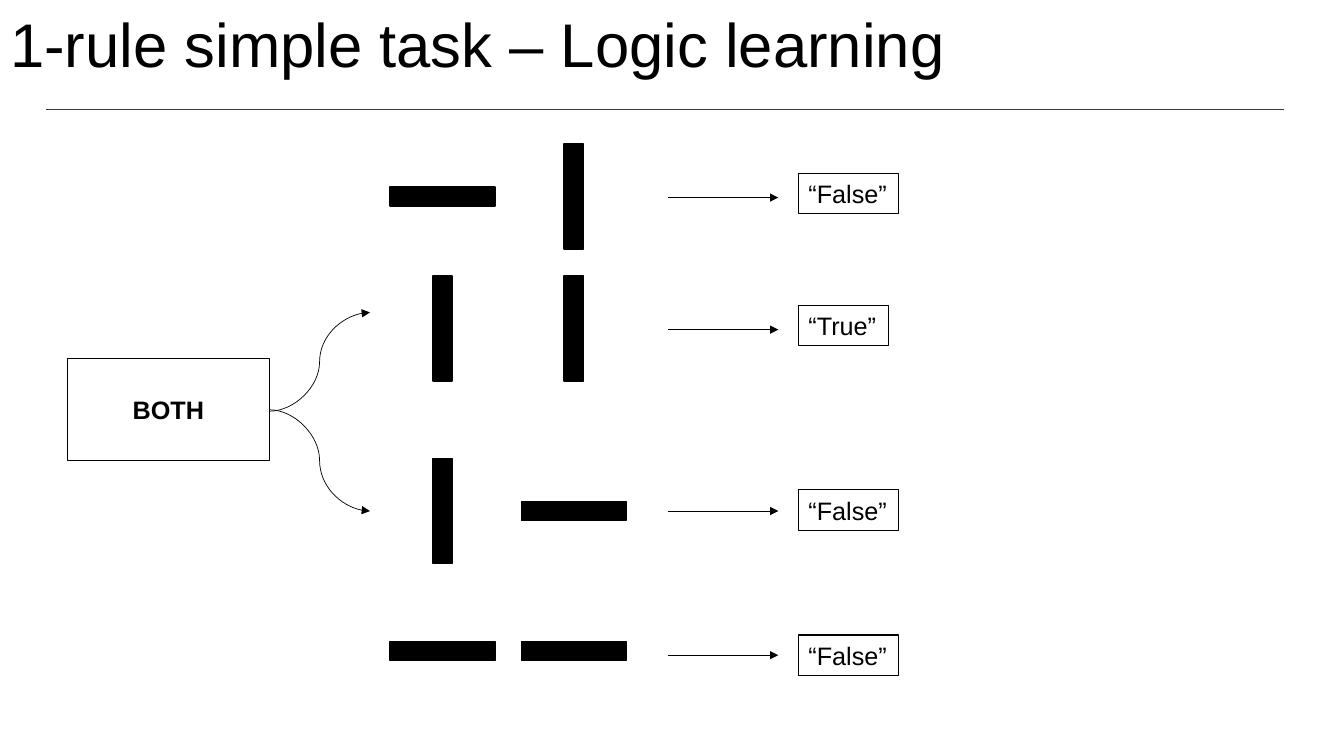
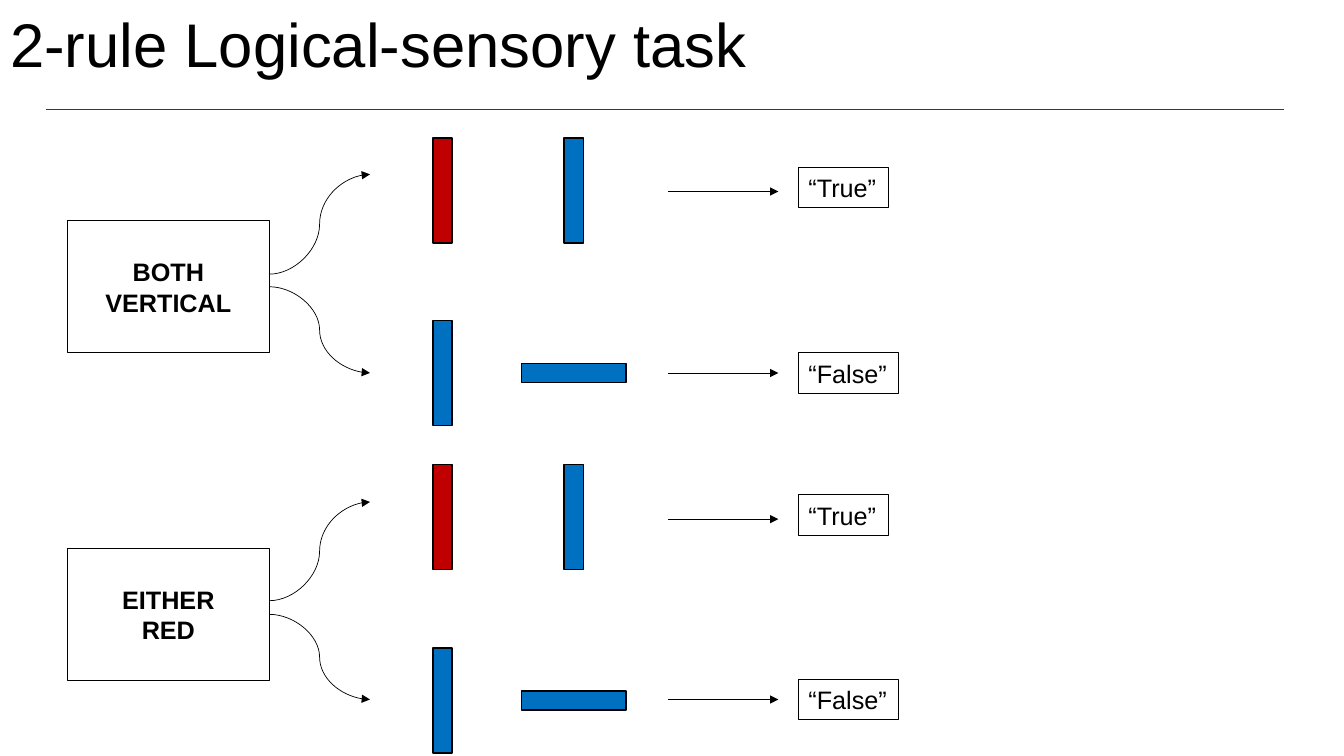
from dataclasses import dataclass

from lxml import etree
from pptx import Presentation
from pptx.dml.color import RGBColor
from pptx.enum import shapes, text
from pptx.oxml.ns import qn
from pptx.util import Inches, Pt


@dataclass(frozen=True)
class Theme:
    font: str = "Arial"
    black: str = "000000"
    red: str = "C00000"
    blue: str = "0070C0"
    divider: str = "3B3838"
    title_size: int = 44
    body_size: int = 18
    thin: float = 0.5
    frame: float = 0.75
    bar_edge: float = 1


T = Theme()

# Bars are (orientation, colour): V is vertical, H is horizontal.
# Rows are (bars, answer, bar centre, arrow height, answer top), in inches.
# Rules are (lines, top, height, start of upper curve, upper row, lower row).
BLACK_V, BLACK_H = ("V", T.black), ("H", T.black)
RED_V, BLUE_V, BLUE_H = ("V", T.red), ("V", T.blue), ("H", T.blue)

SLIDES = [
    {
        "title": "1-rule simple task – Logic learning",
        "rows": [
            ((BLACK_H, BLACK_V), "False", 1.95, 1.96, 1.72),
            ((BLACK_V, BLACK_V), "True", 3.26, 3.27, 3.03),
            ((BLACK_V, BLACK_H), "False", 5.07, 5.07, 4.86),
            ((BLACK_H, BLACK_H), "False", 6.46, 6.5, 6.3),
        ],
        "rules": [(["BOTH"], 3.56, 1.01, 4.08, 1, 2)],
    },
    {
        "title": "2-rule Logical-sensory task",
        "rows": [
            ((RED_V, BLUE_V), "True", 1.89, 1.9, 1.66),
            ((BLUE_V, BLUE_H), "False", 3.7, 3.7, 3.5),
            ((RED_V, BLUE_V), "True", 5.13, 5.15, 4.91),
            ((BLUE_V, BLUE_H), "False", 6.95, 6.94, 6.74),
        ],
        "rules": [
            (["BOTH", "VERTICAL"], 2.19, 1.31, 2.72, 0, 1),
            (["EITHER", "RED"], 5.44, 1.31, 5.96, 2, 3),
        ],
    },
]

BAR_CENTRES = (4.39, 5.69)
BAR_SHORT, BAR_LONG = 0.19, 1.04
RULE_LEFT, RULE_WIDTH = 0.67, 2
CURVE_END = 3.67
UPPER_CURVE_LIFT = 0.17
ARROW_LEFT, ARROW_RIGHT = 6.63, 7.72
ANSWER_LEFT, ANSWER_HEIGHT = 7.92, 0.4
ANSWER_WIDTHS = {"True": 0.89, "False": 0.99}


def write(sp, lines, size=T.body_size, bold=False, align=text.PP_ALIGN.LEFT,
          wrap=True, spacing=1.0):
    tf = sp.text_frame
    tf.word_wrap = wrap
    tf.auto_size = text.MSO_AUTO_SIZE.NONE
    tf.vertical_anchor = text.MSO_ANCHOR.MIDDLE
    for i, line in enumerate(lines):
        p = tf.add_paragraph() if i else tf.paragraphs[0]
        p.alignment = align
        p.line_spacing = spacing
        r = p.add_run()
        r.text = line
        r.font.name = T.font
        r.font.size = Pt(size)
        r.font.bold = bold
        r.font.color.rgb = RGBColor.from_string(T.black)


def add_rect(s, left, top, width, height, line_width, fill=None):
    sp = s.shapes.add_shape(shapes.MSO_SHAPE.RECTANGLE, Inches(left),
                            Inches(top), Inches(width), Inches(height))
    sp.shadow.inherit = False
    if fill:
        sp.fill.solid()
        sp.fill.fore_color.rgb = RGBColor.from_string(fill)
    else:
        sp.fill.background()
    sp.line.color.rgb = RGBColor.from_string(T.black)
    sp.line.width = Pt(line_width)
    return sp


def add_line(s, x1, y1, x2, y2, kind=shapes.MSO_CONNECTOR.STRAIGHT,
             color=T.black, arrow=True):
    line = s.shapes.add_connector(kind, Inches(x1), Inches(y1),
                                  Inches(x2), Inches(y2))
    line.line.color.rgb = RGBColor.from_string(color)
    line.line.width = Pt(T.thin)
    if arrow:
        ln = line.element.spPr.find(qn("a:ln"))
        etree.SubElement(ln, qn("a:tailEnd"), type="triangle")
    etree.SubElement(line.element.spPr, qn("a:effectLst"))
    return line


def add_row(s, bars, answer, bar_y, arrow_y, answer_top):
    for x, (orientation, color) in zip(BAR_CENTRES, bars):
        w, h = BAR_SHORT, BAR_LONG
        if orientation == "H":
            w, h = h, w
        add_rect(s, x - w / 2, bar_y - h / 2, w, h, T.bar_edge, color)
    add_line(s, ARROW_LEFT, arrow_y, ARROW_RIGHT, arrow_y)
    box = add_rect(s, ANSWER_LEFT, answer_top, ANSWER_WIDTHS[answer],
                   ANSWER_HEIGHT, T.frame)
    write(box, [f"“{answer}”"], wrap=False)


def add_rule(s, lines, top, height, upper_start, upper_y, lower_y):
    """Draw a rule box with curved arrows to its two rows."""
    box = add_rect(s, RULE_LEFT, top, RULE_WIDTH, height, T.frame)
    write(box, lines, bold=True, align=text.PP_ALIGN.CENTER)
    right = RULE_LEFT + RULE_WIDTH
    for start, end in ((top + height / 2, lower_y),
                       (upper_start, upper_y - UPPER_CURVE_LIFT)):
        add_line(s, right, start, CURVE_END, end, shapes.MSO_CONNECTOR.CURVE)


def prepare_layout(prs):
    """Give the title-only layout its title area."""
    layout = prs.slide_layouts.get_by_name("Title Only")
    title = next(p for p in layout.placeholders
                 if p.placeholder_format.type == shapes.PP_PLACEHOLDER.TITLE)
    title.left, title.top = Inches(0), Inches(0)
    title.width, title.height = prs.slide_width, Inches(0.95)
    return layout


def add_divider(s):
    """Draw the title rule and move it to the layout, for every slide."""
    line = add_line(s, 0.46, 1.09, 12.73, 1.09, color=T.divider, arrow=False)
    s.slide_layout.shapes.element.append(line.element)


def main():
    prs = Presentation()
    prs.slide_width, prs.slide_height = Inches(13.33), Inches(7.5)
    layout = prepare_layout(prs)
    for i, content in enumerate(SLIDES):
        s = prs.slides.add_slide(layout)
        if i == 0:
            add_divider(s)
        write(s.shapes.title, [content["title"]], size=T.title_size,
              spacing=0.9)
        rows = content["rows"]
        for *box, upper, lower in content["rules"]:
            add_rule(s, *box, rows[upper][3], rows[lower][3])
        for row in rows:
            add_row(s, *row)
    prs.save("out.pptx")


if __name__ == "__main__":
    main()
